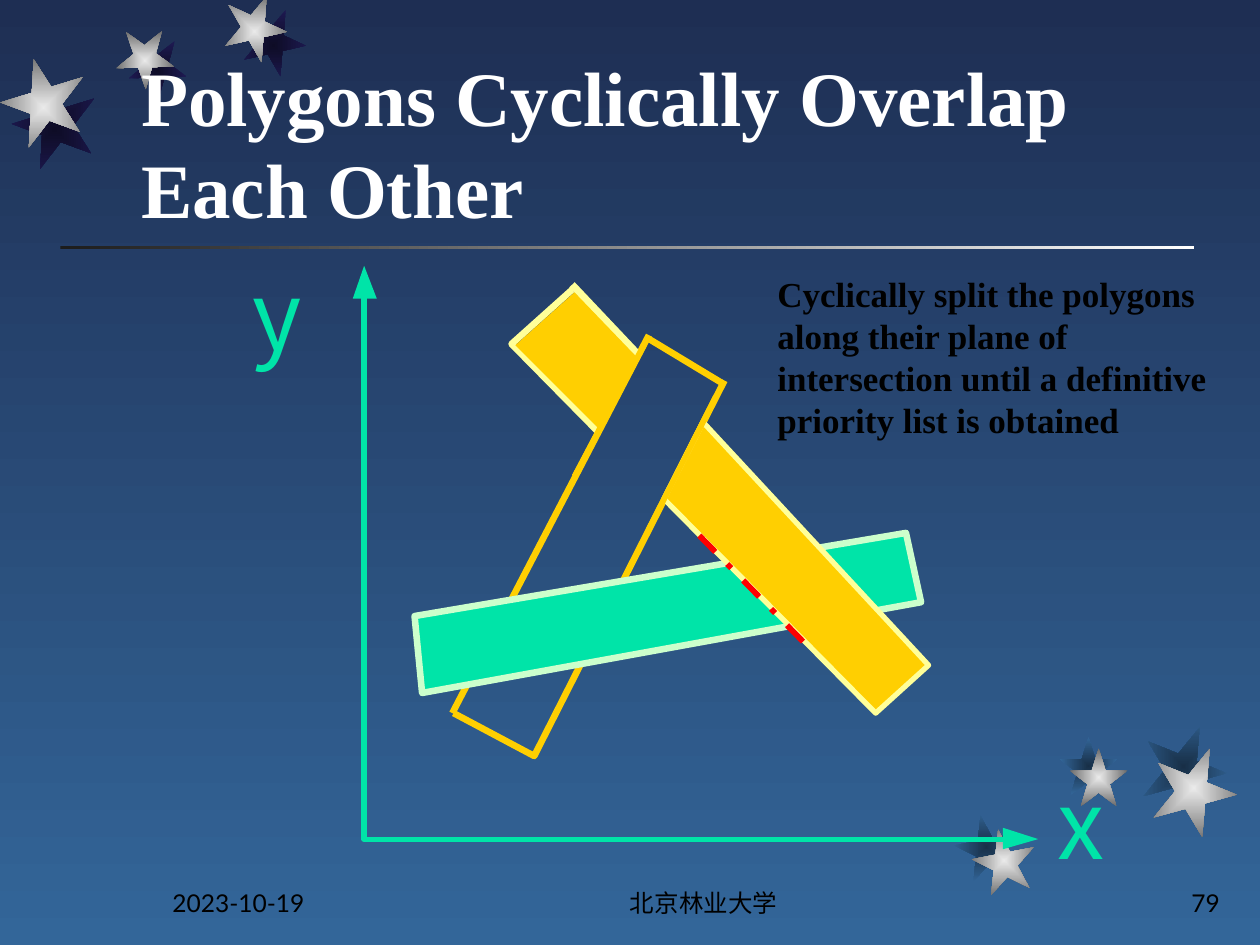
from lxml import etree
from pptx import Presentation
from pptx.dml.color import RGBColor
from pptx.enum.dml import MSO_LINE
from pptx.enum.shapes import MSO_CONNECTOR, MSO_SHAPE
from pptx.enum.text import MSO_ANCHOR, PP_ALIGN
from pptx.oxml import parse_xml
from pptx.oxml.ns import nsdecls, qn
from pptx.util import Inches, Pt

LEFT, MID, RIGHT = PP_ALIGN.LEFT, PP_ALIGN.CENTER, PP_ALIGN.RIGHT
TOP, LOW = MSO_ANCHOR.TOP, MSO_ANCHOR.BOTTOM
STAR, RECT = MSO_SHAPE.STAR_5_POINT, MSO_SHAPE.RECTANGLE
STRAIGHT, DASH = MSO_CONNECTOR.STRAIGHT, MSO_LINE.DASH_DOT
SERIF, SANS, CJK = "Times New Roman", "Lato", "Noto Sans CJK SC"

HEX = {
    "night": "1E2E53", "sea": "336699", "coal": "1C1C1C", "white": "FFFFFF",
    "ink": "0E0C26", "plum": "1E1A53", "deep": "182F47", "silver": "EAEAEA",
    "grey": "6C6C6C", "black": "000000", "green": "00E4A8", "mint": "CCFFCC",
    "gold": "FFCF01", "cream": "FFFF99", "red": "FF0000",
}

TITLE = ["Polygons Cyclically Overlap ", "Each Other"]

# Stars: left, top, size, turn; then the fade from centre to edge
STARS = [
    (("ink", "plum"), [(1.92, 0.11, 0.5, 167.3), (1.02, 0.33, 0.46, 178.3),
                       (0.1, 0.69, 0.67, 200.3)]),
    (("silver", "grey"), [(1.77, 0, 0.5, 167.3), (0.92, 0.25, 0.46, 178.3),
                          (0.01, 0.52, 0.67, 200.3)]),
    (("deep", "sea"), [(7.58, 6.47, 0.5, 349), (8.41, 5.85, 0.46, 0),
                       (9.06, 5.75, 0.67, 22)]),
    (("silver", "grey"), [(7.72, 6.58, 0.5, 349), (8.49, 5.94, 0.46, 0),
                          (9.14, 5.92, 0.67, 22)]),
]

# Texts: words, box, font, size, colour, bold, align, anchor, inset, wrap
FOOT = (SANS, 14, "black", False)
AXIS = (CJK, 54, "green", False, LEFT, TOP, 0, False)
TEXTS = [
    ("2023-10-19", (1.27, 6.83, 2.08, 0.5), *FOOT, LEFT, LOW, 0.1, True),
    ("北京林业大学", (4, 6.83, 3.17, 0.5), *FOOT, MID, LOW, 0.1, True),
    ("79", (7.7, 6.83, 2.08, 0.5), *FOOT, RIGHT, LOW, 0.1, True),
    ("y", (2, 2.03, 0.38, 0.9), *AXIS),
    ("x", (8.39, 6.07, 0.4, 0.9), *AXIS),
    ("Cyclically split the polygons along their plane of intersection "
     "until a definitive priority list is obtained",
     (6.17, 2.16, 3.56, 1.33), SERIF, 20, "black", True, LEFT, TOP, 0, True),
]

# Drawing, back to front: points, closed, fill, line colour, line width
DRAWING = [
    # axes and their heads
    ([(7.96, 6.66), (2.89, 6.66), (2.89, 2.32)], False, None, "green", 3),
    ([(7.96, 6.57), (8.24, 6.66), (7.96, 6.74)], True, "green", None, 0),
    ([(2.8, 2.37), (2.89, 2.11), (2.99, 2.37)], True, "green", None, 0),
    # hollow bar
    ([(3.59, 5.66), (5.15, 2.66)], False, None, "gold", 3.75),
    ([(5.15, 2.69), (5.73, 3.04)], False, None, "gold", 3.75),
    ([(5.75, 3.02), (4.24, 6), (3.6, 5.66)], False, None, "gold", 3.75),
    # green bar
    ([(3.29, 4.89), (7.19, 4.23), (7.31, 4.78), (3.35, 5.5)],
     True, "green", "mint", 3.75),
    # gold bar, lower and upper part
    ([(5.27, 3.96), (6.95, 5.66), (7.37, 5.28), (5.58, 3.35)],
     True, "gold", "cream", 3),
    ([(5.06, 2.81), (4.54, 2.26)], False, None, "cream", 4.25),
    ([(4.55, 2.3), (4.54, 2.3), (4.06, 2.73), (4.74, 3.42)],
     False, None, "cream", 3.75),
    # split line
    ([(5.55, 4.25), (6.43, 5.15)], False, None, "red", 3.25),
    # upper fill and the hollow bar's edges over it
    ([(4.56, 2.32), (4.09, 2.74), (4.76, 3.41), (5.02, 2.91), (5.05, 2.83)],
     True, "gold", None, 0),
    ([(5.68, 3.15), (5.15, 4.2)], False, None, "gold", 3.25),
    ([(5.11, 2.74), (4.56, 3.78)], False, None, "gold", 3.25),
]


def rgb(name):
    return RGBColor.from_string(HEX[name])


def box(*nums):
    return [Inches(n) for n in nums]


def fade(fill, names, turn=0):
    fill.gradient()
    fill.gradient_angle = turn
    for stop, name in zip(fill.gradient_stops, names):
        stop.color.rgb = rgb(name)


def glow(shape):
    """Make the fade run from the centre outwards."""
    lin = shape.element.spPr.find(qn("a:gradFill")).find(qn("a:lin"))
    lin.getparent().replace(lin, parse_xml(
        f'<a:path {nsdecls("a")} path="rect">'
        '<a:fillToRect l="50000" t="50000" r="50000" b="50000"/></a:path>'))


def preset(kind, place, names):
    shape = shapes.add_shape(kind, *box(*place))
    shape.shadow.inherit = False
    shape.line.fill.background()
    fade(shape.fill, names)
    return shape


def write(para, words, face, size, tint, bold):
    run = para.add_run()
    run.text = words
    font = run.font
    font.name, font.size, font.bold = face, Pt(size), bold
    font.color.rgb = rgb(tint)


def draw(points, closed, fill, tint, width):
    ends = [box(*point) for point in points]
    if len(ends) == 2:
        shape = shapes.add_connector(STRAIGHT, *ends[0], *ends[1])
        etree.SubElement(shape.element.spPr, qn("a:effectLst"))
    else:
        path = shapes.build_freeform(*ends[0], scale=1)
        path.add_line_segments(ends[1:], close=closed)
        shape = path.convert_to_shape()
        shape.shadow.inherit = False
        if fill:
            shape.fill.solid()
            shape.fill.fore_color.rgb = rgb(fill)
        else:
            shape.fill.background()
    if tint:
        shape.line.color.rgb = rgb(tint)
        shape.line.width = Pt(width)
        if tint == "red":
            shape.line.dash_style = DASH
    else:
        shape.line.fill.background()


def label(words, place, face, size, tint, bold, align, anchor, inset, wrap):
    frame = shapes.add_textbox(*box(*place)).text_frame
    frame.word_wrap, frame.vertical_anchor = wrap, anchor
    frame.margin_left = frame.margin_right = Inches(inset)
    frame.margin_top = frame.margin_bottom = Inches(inset / 2)
    para = frame.paragraphs[0]
    para.alignment = align
    write(para, words, face, size, tint, bold)


deck = Presentation()
deck.slide_width, deck.slide_height = box(10, 7.5)
slide = deck.slides.add_slide(deck.slide_layouts[5])
shapes = slide.shapes
fade(slide.background.fill, ("night", "sea"), 270)

# Rule and stars
preset(RECT, (0.48, 1.95, 9, 0.03), ("coal", "white"))
for names, group in STARS:
    for left, top, size, turn in group:
        star = preset(STAR, (left, top, size, size), names)
        star.rotation = turn
        glow(star)

# Title, brought in front of the stars
title = shapes.title
title.left, title.top, title.width, title.height = box(1.02, 0.31, 8.52, 1.6)
title.element.getparent().append(title.element)
title.text_frame.vertical_anchor = LOW
head = title.text_frame.paragraphs[0]
head.alignment = LEFT
for i, words in enumerate(TITLE):
    if i:
        head.add_line_break()
    write(head, words, SERIF, 44, "white", True)

# Drawing and texts
for item in DRAWING:
    draw(*item)
for item in TEXTS:
    label(*item)

deck.save("out.pptx")
